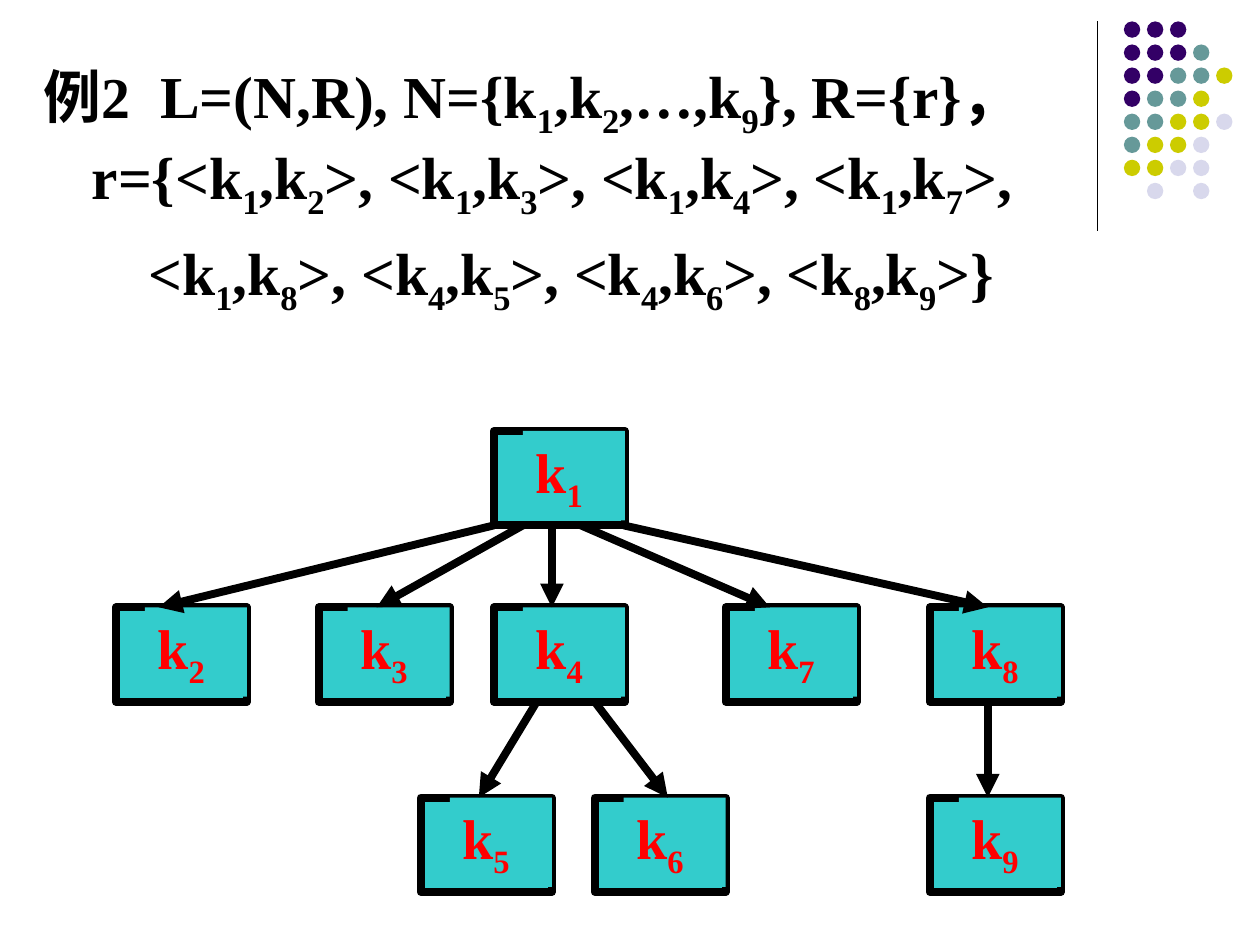
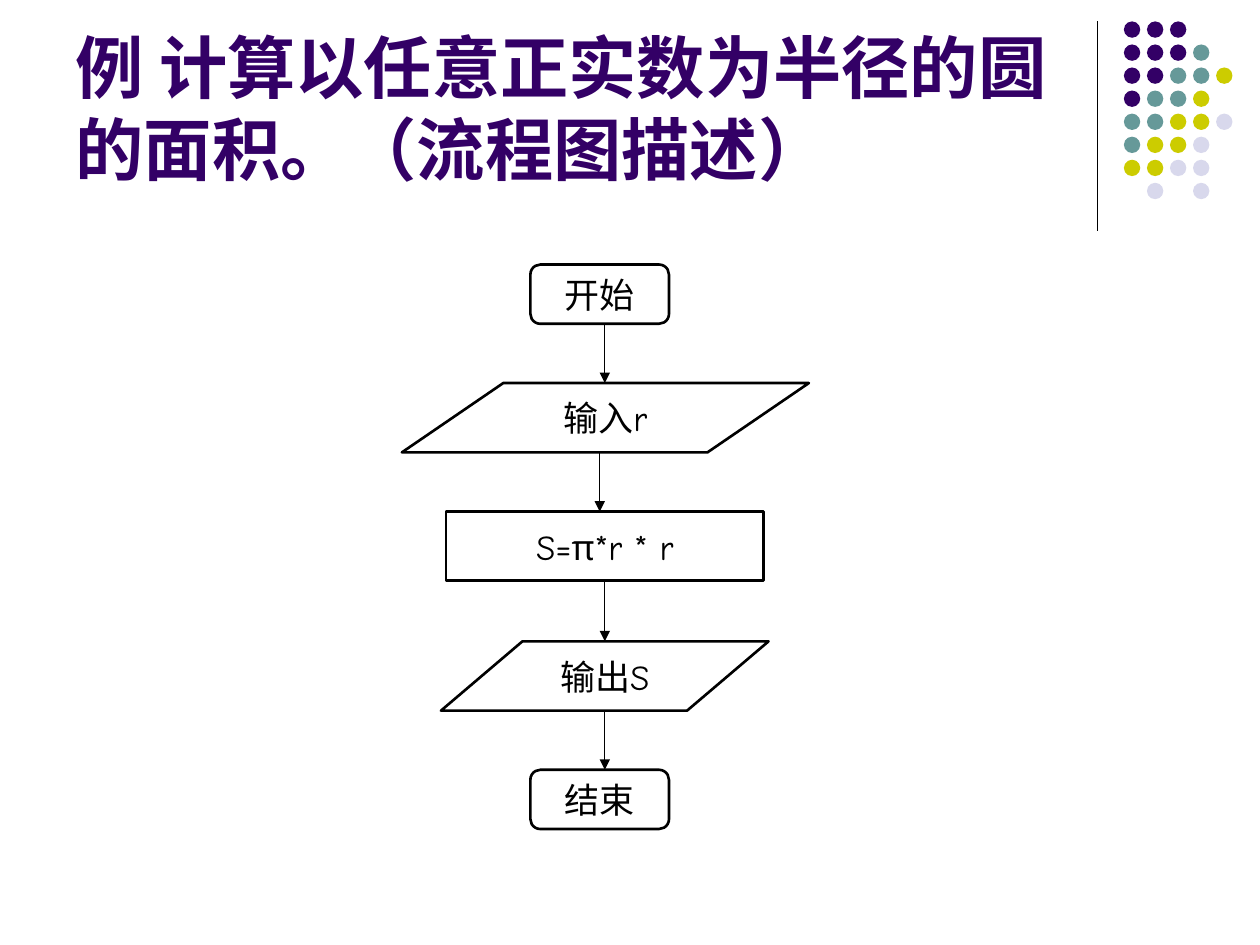
from lxml import etree
from pptx import Presentation
from pptx.dml.color import RGBColor
from pptx.enum.shapes import MSO_CONNECTOR as Line, MSO_SHAPE as Shape
from pptx.enum.text import MSO_ANCHOR as Anchor, PP_ALIGN as Align
from pptx.oxml.ns import qn
from pptx.util import Inches, Pt

COLORS = {
    "black": "000000", "red": "FF0000", "node": "33CCCC", "title": "330066",
    "P": "330066", "T": "669999", "Y": "CCCC00", "L": "D8D8EC",
}
SERIF, SANS, HAND = "Times New Roman", "Arial", "Comic Neue"

# One letter per dot: its colour key; a blank leaves the place empty
DOTS = ["PPP", "PPPT", "PPTTY", "PTTY", "TTYYL", "TYYL", "YYLL", " L L"]


def rgb(name):
    return RGBColor.from_string(COLORS[name])


def style_font(r, size, color, name, bold=False):
    r.font.size, r.font.name, r.font.bold = Pt(size), name, bold
    r.font.color.rgb = rgb(color)


def add_box(shapes, kind, x, y, w, h, fill=None, line=None):
    sp = shapes.add_shape(kind, Inches(x), Inches(y), Inches(w), Inches(h))
    sp.shadow.inherit = False
    if fill:
        sp.fill.solid()
        sp.fill.fore_color.rgb = rgb(fill)
    else:
        sp.fill.background()
    if line:
        sp.line.color.rgb = rgb("black")
        sp.line.width = Pt(line)
    else:
        sp.line.fill.background()
    return sp


def add_line(shapes, x1, y1, x2, y2, width, arrow=True):
    c = shapes.add_connector(Line.STRAIGHT, Inches(x1), Inches(y1), Inches(x2), Inches(y2))
    c.line.color.rgb = rgb("black")
    c.line.width = Pt(width)
    if arrow:
        etree.SubElement(c.line._get_or_add_ln(), qn("a:tailEnd"), type="triangle")
    etree.SubElement(c.element.spPr, qn("a:effectLst"))
    return c


def add_indexed(p, text, size, color):
    """Write text in which _ marks the next character as a subscript."""
    head, *rest = text.split("_")
    parts = [(head, False)]
    for part in rest:
        parts += [(part[0], True), (part[1:], False)]
    for part, lowered in parts:
        if part:
            r = p.add_run()
            r.text = part
            style_font(r, size, color, SERIF, bold=True)
            if lowered:
                r.font._element.set("baseline", "-25000")


# Rule and dots, drawn once and placed on the slide master
def decorate_master(prs, slide):
    rule = add_line(slide.shapes, 8.71, 0.17, 8.71, 1.83, 0.75, arrow=False)
    group = slide.shapes.add_group_shape()
    for row, keys in enumerate(DOTS):
        for col, key in enumerate(keys):
            if key != " ":
                add_box(group.shapes, Shape.OVAL, 8.92 + 0.183 * col,
                        0.17 + 0.183 * row, 0.13, 0.13, key)
    tree = prs.slide_master.shapes.element
    for sp in (rule, group):
        tree.append(sp.element)
    for number, props in enumerate(tree.iter(qn("p:cNvPr")), 1):
        props.set("id", str(number))


# Definition of the tree as sets
def add_definition(slide, x, y, w, h):
    box = slide.shapes.add_textbox(Inches(x), Inches(y), Inches(w), Inches(h))
    tf = box.text_frame
    tf.word_wrap = True
    first, second = tf.paragraphs[0], tf.add_paragraph()
    for p, left, indent in ((first, 0.38, -0.38), (second, 0.83, 0)):
        pr = p._p.get_or_add_pPr()
        pr.set("marL", str(Inches(left)))
        pr.set("indent", str(Inches(indent)))
    second.space_before = Pt(8.5)
    add_indexed(first, "例2", 33, "black")
    # One widened space separates the label from the formula
    gap = first.add_run()
    gap.text = " "
    style_font(gap, 34, "black", SERIF, bold=True)
    gap.font._element.set("spc", "850")
    add_indexed(first, "L=(N,R), N={k_1,k_2,…,k_9}, R={r}，r={<k_1,k_2>, "
                "<k_1,k_3>, <k_1,k_4>, <k_1,k_7>,", 34, "black")
    add_indexed(second, "<k_1,k_8>, <k_4,k_5>, <k_4,k_6>, <k_8,k_9>}", 34, "black")


def add_node(slide, number, x, y, h):
    add_box(slide.shapes, Shape.RECTANGLE, x, y, 1.04, h, "node", 4.5)
    face = add_box(slide.shapes, Shape.RECTANGLE, x + 0.23, y, 0.81, 0.71, "node")
    tf = face.text_frame
    tf.vertical_anchor = Anchor.TOP
    tf.paragraphs[0].alignment = Align.LEFT
    add_indexed(tf.paragraphs[0], f"k_{number}", 32, "red")


# Tree of nodes k1 to k9
def add_tree(slide, x, y):
    node_h = 0.75
    nodes = {  # number: offset from the tree's corner
        1: (3, 0),
        2: (0, 1.4), 3: (1.61, 1.4), 4: (3, 1.4), 7: (4.84, 1.4), 8: (6.46, 1.4),
        5: (2.42, 2.91), 6: (3.8, 2.91), 9: (6.46, 2.91),
    }
    edges = [  # parent, child, offset along each node's side
        (1, 2, 0, 0.34), (1, 3, 0.23, 0.46), (1, 4, 0.46, 0.46),
        (1, 7, 0.69, 0.35), (1, 8, 1.03, 0.46),
        (4, 5, 0.34, 0.46), (4, 6, 0.8, 0.58), (8, 9, 0.46, 0.46),
    ]
    for number, (dx, dy) in nodes.items():
        add_node(slide, number, x + dx, y + dy, node_h)
    for parent, child, start, end in edges:
        px, py = nodes[parent]
        cx, cy = nodes[child]
        add_line(slide.shapes, x + px + start, y + py + node_h,
                 x + cx + end, y + cy, 4.5)


def format_title(slide, text, x, y, w, h):
    title = slide.shapes.title
    title.left, title.top, title.width, title.height = map(Inches, (x, y, w, h))
    tf = title.text_frame
    tf.text = text
    tf.word_wrap = True
    tf.vertical_anchor = Anchor.BOTTOM
    p = tf.paragraphs[0]
    p.alignment = Align.LEFT
    style_font(p.runs[0], 39, "title", SANS, bold=True)


# Flowchart, steps from top to bottom
def add_flowchart(slide, x, y):
    steps = [  # text, shape, left, top, width, height, adjustment
        ("开始", Shape.ROUNDED_RECTANGLE, 1.02, 0, 1.1, 0.47, 0.167),
        ("输入r", Shape.PARALLELOGRAM, 0, 0.94, 3.23, 0.55, 1.463),
        ("S=π*r * r", Shape.RECTANGLE, 0.35, 1.96, 2.52, 0.55, None),
        ("输出S", Shape.PARALLELOGRAM, 0.31, 2.99, 2.6, 0.55, 1.176),
        ("结束", Shape.ROUNDED_RECTANGLE, 1.02, 4.01, 1.1, 0.47, 0.167),
    ]
    boxes = []
    for text, kind, dx, dy, w, h, adjustment in steps:
        sp = add_box(slide.shapes, kind, x + dx, y + dy, w, h, line=1.5)
        if adjustment:
            sp.adjustments[0] = adjustment
        tf = sp.text_frame
        tf.text = text
        tf.word_wrap = False
        tf.vertical_anchor = Anchor.MIDDLE
        p = tf.paragraphs[0]
        p.alignment = Align.CENTER
        style_font(p.runs[0], 20, "black", HAND)
        boxes.append(sp)

    arrow_xs = [1.61, 1.57, 1.61, 1.61]
    for dx, box, upper, lower in zip(arrow_xs, boxes, steps, steps[1:]):
        c = add_line(slide.shapes, x + dx, y + upper[3] + upper[5],
                     x + dx, y + lower[3], 0.75)
        if upper[1] == Shape.RECTANGLE:
            c.begin_connect(box, 2)


def build_tree_slide(prs):
    slide = prs.slides.add_slide(prs.slide_layouts.get_by_name("Blank"))
    decorate_master(prs, slide)
    add_definition(slide, 0.25, 0.42, 9.67, 2.78)
    add_tree(slide, 0.92, 3.42)


def build_flowchart_slide(prs):
    slide = prs.slides.add_slide(prs.slide_layouts.get_by_name("Title Only"))
    format_title(slide, "例 计算以任意正实数为半径的圆的面积。（流程图描述）",
                 0.5, 0.13, 8.25, 1.42)
    add_flowchart(slide, 3.19, 2.1)


def main():
    prs = Presentation()
    prs.slide_width, prs.slide_height = Inches(10), Inches(7.5)
    build_tree_slide(prs)
    build_flowchart_slide(prs)
    prs.save("out.pptx")


if __name__ == "__main__":
    main()
